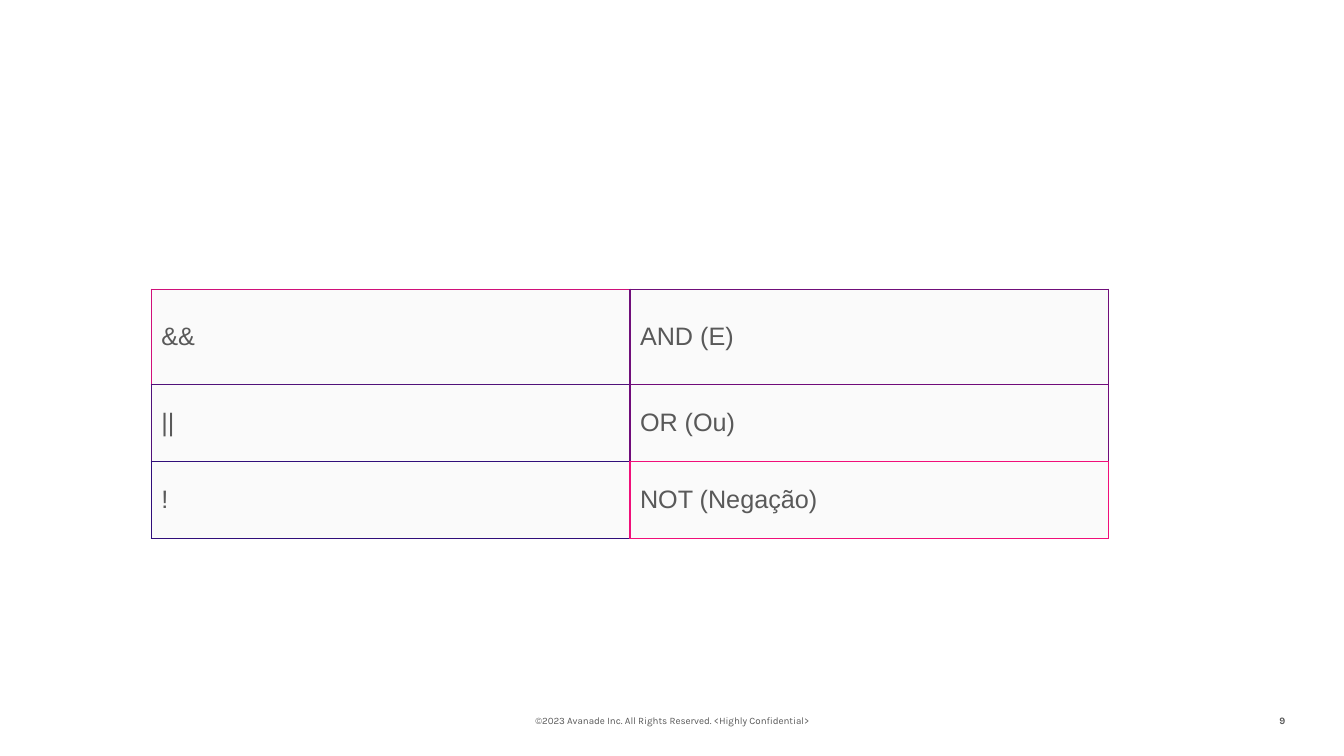
from lxml import etree
from pptx import Presentation
from pptx.dml.color import RGBColor
from pptx.enum import text
from pptx.oxml import ns
from pptx.util import Cm, Pt

GREY = "595959"
CELL_FILL = "FAFAFA"

# Each cell: wording, then border colours for left, right, top, bottom
OPERATORS = [
    [("&&", "D0107A 700E7A D0107A 50117A"),
     ("AND (E)", "700E7A 700E7A 700E7A 700B7A")],
    [("||", "50117A 700B7A 50117A 300E7A"),
     ("OR (Ou)", "700B7A 700B7A 700B7A F00F7A")],
    [("!", "300E7A F00F7A 300E7A 300E7A"),
     ("NOT (Negação)", "F00F7A F00F7A F00F7A F00F7A")],
]


def rgb(color):
    return RGBColor.from_string(color)


def style(paragraph, size, face, bold=False):
    font = paragraph.font
    font.size, font.name, font.bold = Pt(size), face, bold
    font.color.rgb = rgb(GREY)


def set_borders(cell, colors):
    """Draw 1 pt borders; they must come before the fill in the cell's XML."""
    properties = cell._tc.get_or_add_tcPr()
    for index, (side, color) in enumerate(zip("LRTB", colors.split())):
        line = etree.Element(ns.qn(f"a:ln{side}"), w=str(Pt(1)))
        fill = etree.SubElement(line, ns.qn("a:solidFill"))
        etree.SubElement(fill, ns.qn("a:srgbClr"), val=color)
        properties.insert(index, line)


def add_operator_table(slide, left, top, width, heights):
    frame = slide.shapes.add_table(
        len(OPERATORS), len(OPERATORS[0]), left, top, width, sum(heights))
    table = frame.table
    table.first_row = table.horz_banding = False
    for row, height, entries in zip(table.rows, heights, OPERATORS):
        row.height = height
        for cell, (wording, borders) in zip(row.cells, entries):
            cell.text = wording
            cell.vertical_anchor = text.MSO_ANCHOR.MIDDLE
            cell.fill.solid()
            cell.fill.fore_color.rgb = rgb(CELL_FILL)
            set_borders(cell, borders)
            style(cell.text_frame.paragraphs[0], 18, "Arial")


def add_footer_text(slide, left, top, width, height, wording, align, bold=False):
    frame = slide.shapes.add_textbox(left, top, width, height).text_frame
    frame.word_wrap = True
    frame.vertical_anchor = text.MSO_ANCHOR.MIDDLE
    frame.margin_left = frame.margin_right = 0
    paragraph = frame.paragraphs[0]
    paragraph.text = wording
    paragraph.alignment = align
    style(paragraph, 7, "Karla", bold)


def add_footer(slide, top, height):
    add_footer_text(slide, Cm(11.23), top, Cm(11.43), height,
                    "©2023 Avanade Inc. All Rights Reserved. <Highly Confidential>",
                    text.PP_ALIGN.CENTER)
    add_footer_text(slide, Cm(31.17), top, Cm(1.22), height,
                    "9", text.PP_ALIGN.RIGHT, bold=True)


def main():
    deck = Presentation()
    deck.slide_width, deck.slide_height = Cm(33.87), Cm(19.05)
    slide = deck.slides.add_slide(deck.slide_layouts[6])
    add_footer(slide, Cm(17.65), Cm(1.02))
    add_operator_table(slide, Cm(3.81), Cm(7.29), Cm(24.13),
                       [Cm(2.39), Cm(1.94), Cm(1.94)])
    deck.save("out.pptx")


if __name__ == "__main__":
    main()
